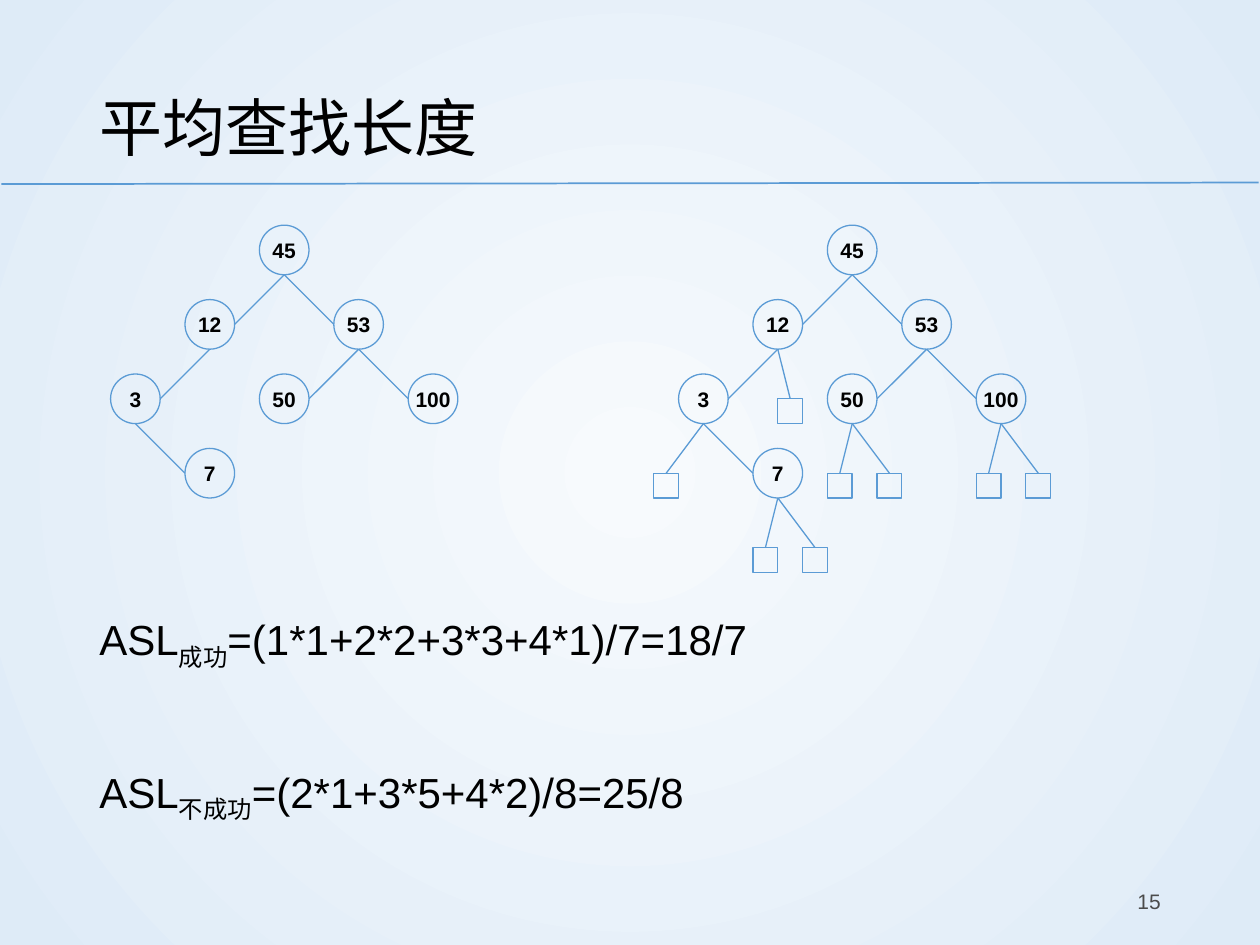
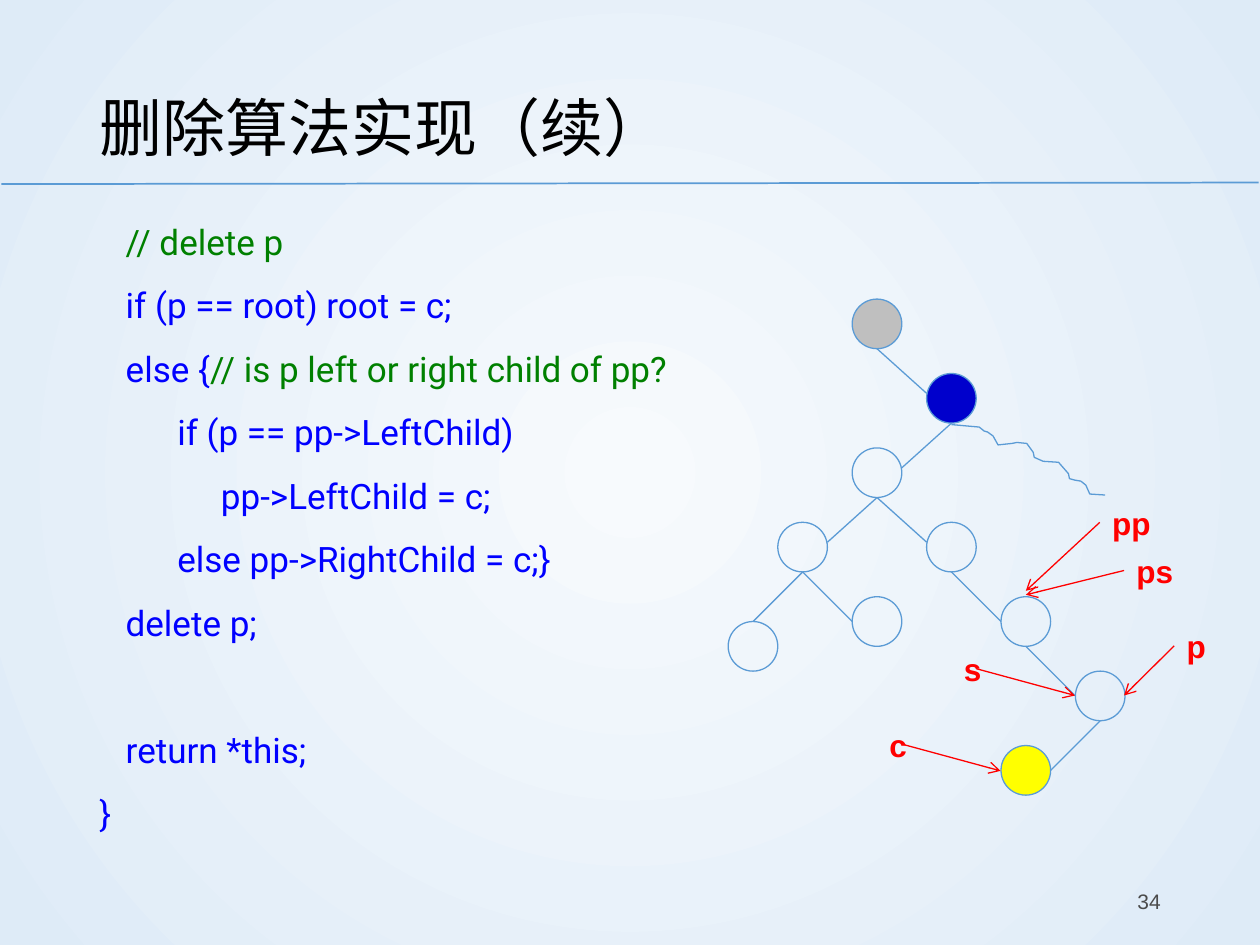
from pptx import Presentation
from pptx.dml.color import RGBColor
from pptx.enum.shapes import MSO_CONNECTOR, MSO_SHAPE
from pptx.enum.text import MSO_ANCHOR, MSO_AUTO_SIZE, PP_ALIGN
from pptx.oxml.ns import qn
from pptx.util import Cm, Pt
from lxml.etree import SubElement

# Shared style
BLACK, GREY, RED = "000000", "4B4B4B", "FF0000"
OUTLINE, KEYWORD, COMMENT = "5B9BD5", "0000FF", "008000"
LEFT, WIDTH = 1.75, 21.9
STEP, RADIUS, BOX = 1.5, 0.5, 0.5  # tree grid step, node radius, external node side

# Search tree: label -> (column, row) on the grid
SEARCH_NODES = {"45": (0, 0), "12": (-1, 1), "53": (1, 1), "3": (-2, 2),
                "50": (0, 2), "100": (2, 2), "7": (-1, 3)}
SEARCH_EDGES = [("45", "12"), ("45", "53"), ("12", "3"), ("53", "50"),
                ("53", "100"), ("3", "7")]
# External nodes: parent -> horizontal offsets in cm
EXTERNAL_NODES = {"3": [-0.75], "12": [0.25], "50": [-0.25, 0.75],
                  "100": [-0.25, 0.75], "7": [-0.25, 0.75]}

# Tree of the deletion: name -> (column, row, fill)
DELETION_NODES = {
    "root": (0, 0, "BFBFBF"), "target": (1, 1, "0000CC"), "left": (0, 2, None),
    "left left": (-1, 3, None), "left right": (1, 3, None), "ps": (2, 4, None),
    "p": (3, 5, None), "c": (2, 6, "FFFF00"), "outer leaf": (-5 / 3, 13 / 3, None),
    "inner leaf": (0, 4, None)}
# Parent, child, height of the line's end above the child's centre
DELETION_EDGES = [
    ("root", "target", 0.1), ("target", "left", 0.1), ("left", "left left", 0.1),
    ("left", "left right", 0.1), ("left right", "ps", 0), ("ps", "p", 0), ("p", "c", 0),
    ("left left", "outer leaf", RADIUS), ("left left", "inner leaf", 0)]
# Label, its corner, distance of the arrow's start from the corner, arrow's end
POINTERS = [
    ("p", (23.67, 12.52), 0, (22.66, 14.02)), ("pp", (22.17, 10.03), 0, (20.68, 11.91)),
    ("ps", (22.66, 11), 0, (20.68, 11.99)), ("s", (19.18, 12.98), 0.5, (21.67, 14.02)),
    ("c", (17.68, 14.5), 0.5, (20.17, 15.54))]
# Wavy branch in hundredths of a centimetre
WAVE = [(1918, 856), (1974, 861), (1984, 869), (1991, 871), (2002, 879), (2012, 897),
        (2040, 894), (2050, 892), (2070, 894), (2083, 912), (2085, 922), (2103, 930),
        (2134, 932), (2154, 955), (2156, 965), (2167, 968), (2179, 970), (2189, 978),
        (2197, 996), (2228, 998)]
# Code lines: indent in cm, space before in points, runs of (text, colour)
CODE = [
    (0.53, 7.5, [("// delete p", COMMENT)]),
    (0.53, 7.5, [("if (p == root) root = c;", KEYWORD)]),
    (0.53, 7.5, [("else {", KEYWORD), ("// is p left or right child of pp?", COMMENT)]),
    (1.57, 7.5, [("if (p == pp->LeftChild)", KEYWORD)]),
    (2.45, 7.5, [("pp->LeftChild = c;", KEYWORD)]),
    (1.57, 7.5, [("else pp->RightChild = c;}", KEYWORD)]),
    (0.53, 7.5, [("delete p;", KEYWORD)]),
    (0.53, 43.8, [("return *this;", KEYWORD)]),
    (0, 7.5, [("}", KEYWORD)])]
FORMULAS = [(7.5, "成功", "=(1*1+2*2+3*3+4*1)/7=18/7"),
            (48, "不成功", "=(2*1+3*5+4*2)/8=25/8")]


def color(value):
    return RGBColor.from_string(value)


def set_font(font, size, value, name="Arial", bold=False):
    font.size, font.name, font.bold = Pt(size), name, bold
    font.color.rgb = color(value)


def place(shape, left, top, width, height):
    shape.left, shape.top, shape.width, shape.height = map(Cm, (left, top, width, height))


# Background and slide frame
def set_background(master):
    fill = master.background.fill
    fill.gradient()
    for stop, position, value in zip(fill.gradient_stops, (0, 1), ("F7FAFD", "DEEBF7")):
        stop.position, stop.color.rgb = position, color(value)
    gradient = master.element.find(".//" + qn("a:gradFill"))
    gradient.remove(gradient.find(qn("a:lin")))
    circle = SubElement(gradient, qn("a:path"), {"path": "circle"})
    SubElement(circle, qn("a:fillToRect"), dict.fromkeys("ltrb", "50000"))


def add_slide(presentation, title, number, body_top):
    slide = presentation.slides.add_slide(presentation.slide_layouts[1])
    place(slide.shapes.title, LEFT, 1.02, WIDTH, 2.74)
    frame = slide.shapes.title.text_frame
    frame.auto_size, frame.vertical_anchor = MSO_AUTO_SIZE.NONE, MSO_ANCHOR.MIDDLE
    paragraph = frame.paragraphs[0]
    paragraph.text, paragraph.alignment, paragraph.line_spacing = title, PP_ALIGN.LEFT, 1.2
    set_font(paragraph.font, 36, BLACK)
    body = slide.placeholders[1]
    place(body, LEFT, body_top, WIDTH, 17.17 - body_top)
    body.text_frame.auto_size = MSO_AUTO_SIZE.NONE
    add_line(slide, (0.03, 3.71), (25.37, 3.68), width=1)
    add_text(slide, number, (17.93, 17.65, 5.72, 1.02), 12, GREY, PP_ALIGN.RIGHT)
    return slide


# Text
def add_text(slide, text, box, size, value, alignment=PP_ALIGN.LEFT, bold=False):
    frame = slide.shapes.add_textbox(*map(Cm, box)).text_frame
    frame.word_wrap, frame.vertical_anchor = True, MSO_ANCHOR.MIDDLE
    paragraph = frame.paragraphs[0]
    paragraph.text, paragraph.alignment = text, alignment
    set_font(paragraph.font, size, value, bold=bold)


def add_body_line(frame, index, indent, space_before):
    paragraph = frame.add_paragraph() if index else frame.paragraphs[0]
    properties = paragraph._p.get_or_add_pPr()
    properties.set("marL", str(Cm(indent)))
    properties.set("indent", "0")
    SubElement(properties, qn("a:buNone"))
    paragraph.line_spacing, paragraph.space_before = 1.2, Pt(space_before)
    return paragraph


def add_formulas(frame):
    for index, (space_before, subscript, formula) in enumerate(FORMULAS):
        paragraph = add_body_line(frame, index, 0, space_before)
        set_font(paragraph.font, 24, BLACK)
        for text in ("ASL", subscript, formula):
            run = paragraph.add_run()
            run.text = text
            if text == subscript:
                run._r.get_or_add_rPr().set("baseline", "-25000")


def add_code(frame):
    for index, (indent, space_before, runs) in enumerate(CODE):
        paragraph = add_body_line(frame, index, indent, space_before)
        set_font(paragraph.font, 20, runs[0][1], "Roboto")
        for text, value in runs:
            run = paragraph.add_run()
            run.text = text
            if value != runs[0][1]:
                run.font.color.rgb = color(value)


# Tree parts
def style_shape(shape, fill=None):
    shape.shadow.inherit = False
    shape.line.color.rgb, shape.line.width = color(OUTLINE), Pt(0.75)
    if fill:
        shape.fill.solid()
        shape.fill.fore_color.rgb = color(fill)
    else:
        shape.fill.background()


def add_line(slide, start, end, value=OUTLINE, width=0.75, arrow=False):
    connector = slide.shapes.add_connector(MSO_CONNECTOR.STRAIGHT, *map(Cm, start + end))
    connector.line.color.rgb, connector.line.width = color(value), Pt(width)
    if arrow:
        SubElement(connector.line._get_or_add_ln(), qn("a:tailEnd"), {"type": "arrow"})
    SubElement(connector.element.spPr, qn("a:effectLst"))


def add_node(slide, center, label="", fill=None):
    x, y = center
    node = slide.shapes.add_shape(MSO_SHAPE.OVAL, Cm(x - RADIUS), Cm(y - RADIUS),
                                  Cm(2 * RADIUS), Cm(2 * RADIUS))
    style_shape(node, fill)
    if label:
        frame = node.text_frame
        frame.margin_left = frame.margin_right = frame.margin_top = frame.margin_bottom = 0
        frame.word_wrap, frame.vertical_anchor = False, MSO_ANCHOR.MIDDLE
        paragraph = frame.paragraphs[0]
        paragraph.text, paragraph.alignment = label, PP_ALIGN.CENTER
        set_font(paragraph.font, 12, BLACK, bold=True)


def add_edge(slide, parent, child, lift=0):
    """Join the parent's bottom to the child's near side, or to its top."""
    side = 0 if lift == RADIUS else RADIUS if child[0] < parent[0] else -RADIUS
    add_line(slide, (parent[0], parent[1] + RADIUS), (child[0] + side, child[1] - lift))


def add_external_node(slide, parent, offset):
    x, top = parent[0] + offset, parent[1] + STEP
    box = slide.shapes.add_shape(MSO_SHAPE.RECTANGLE, Cm(x - BOX / 2), Cm(top),
                                 Cm(BOX), Cm(BOX))
    style_shape(box)
    add_line(slide, (parent[0], parent[1] + RADIUS), (x, top))


def grid_point(root, column, row):
    return root[0] + column * STEP, root[1] + row * STEP


def add_search_tree(slide, root, external=False):
    centers = {label: grid_point(root, *cell) for label, cell in SEARCH_NODES.items()}
    for label, center in centers.items():
        add_node(slide, center, label)
    for parent, child in SEARCH_EDGES:
        add_edge(slide, centers[parent], centers[child])
    if external:
        for parent, offsets in EXTERNAL_NODES.items():
            for offset in offsets:
                add_external_node(slide, centers[parent], offset)


def add_deletion_tree(slide, root):
    centers = {}
    for name, (column, row, fill) in DELETION_NODES.items():
        centers[name] = grid_point(root, column, row)
        add_node(slide, centers[name], fill=fill)
    for parent, child, lift in DELETION_EDGES:
        add_edge(slide, centers[parent], centers[child], lift)
    builder = slide.shapes.build_freeform(*WAVE[0], scale=Cm(0.01))
    builder.add_line_segments(WAVE[1:], close=False)
    style_shape(builder.convert_to_shape())


def add_pointer(slide, label, corner, shift, end):
    add_line(slide, (corner[0] + shift, corner[1] + 0.5), end, RED, arrow=True)
    add_text(slide, label, corner + (1.5, 1.02), 18, RED, bold=True)


def main():
    presentation = Presentation()
    presentation.slide_width, presentation.slide_height = Cm(25.4), Cm(19.05)
    set_background(presentation.slide_master)

    # Average search length
    slide = add_slide(presentation, "平均查找长度", "15", 12.01)
    add_formulas(slide.placeholders[1].text_frame)
    add_search_tree(slide, (5.73, 5.04))
    add_search_tree(slide, (17.18, 5.04), external=True)

    # Deletion algorithm
    slide = add_slide(presentation, "删除算法实现（续）", "34", 4.14)
    add_code(slide.placeholders[1].text_frame)
    add_deletion_tree(slide, (17.68, 6.53))
    for pointer in POINTERS:
        add_pointer(slide, *pointer)

    presentation.save("out.pptx")


if __name__ == "__main__":
    main()
